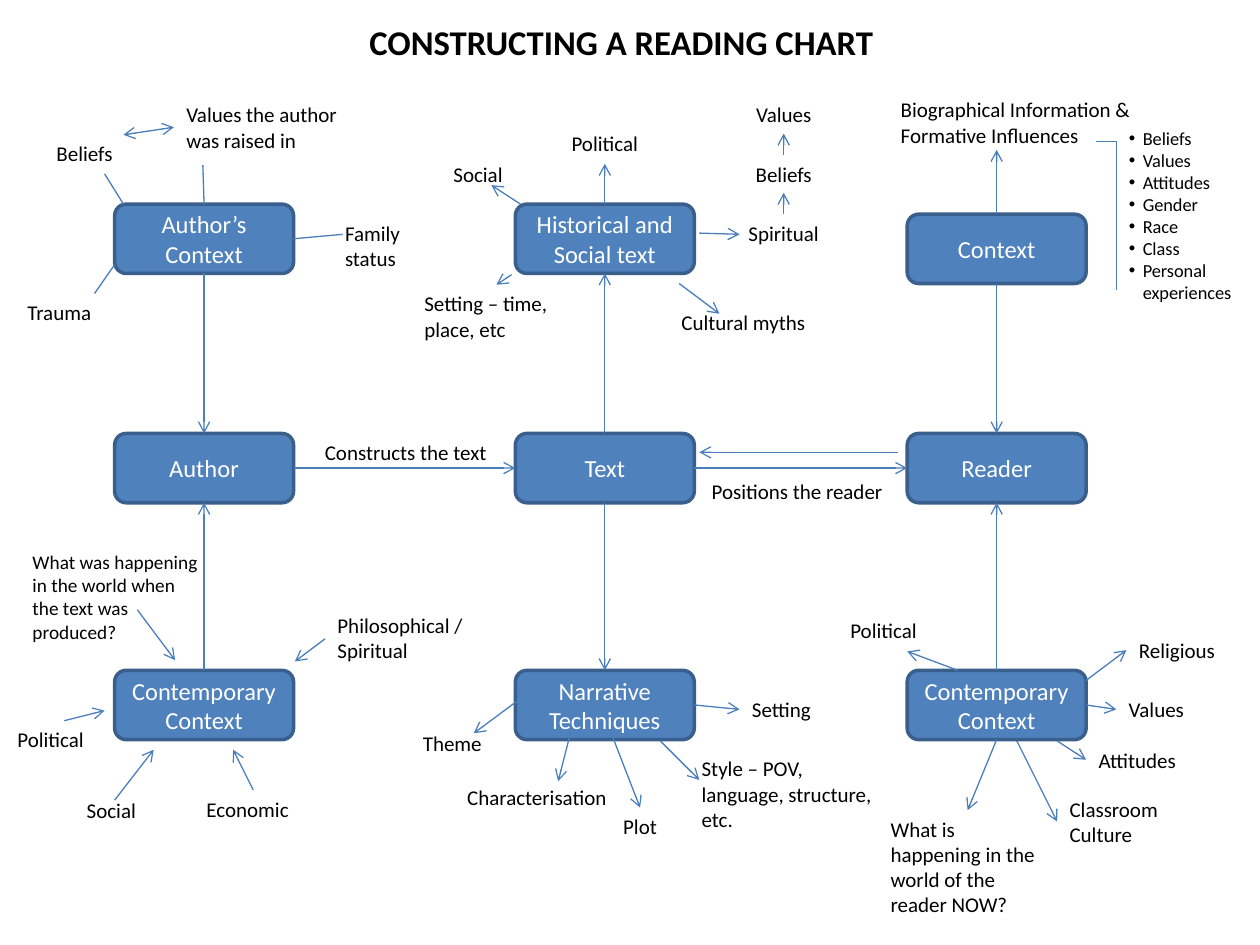
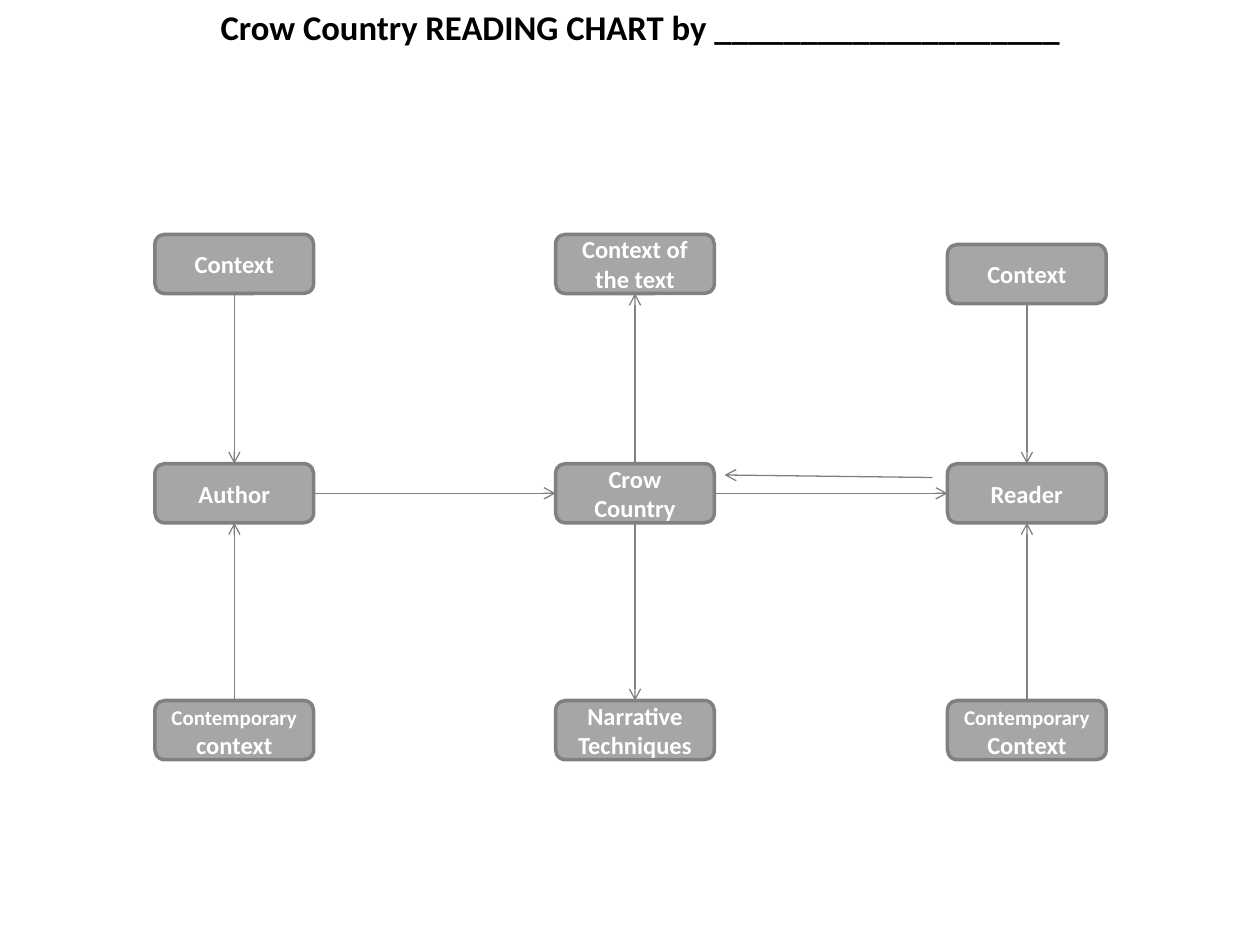
from pptx import Presentation
from pptx.dml.color import RGBColor
from pptx.enum.shapes import MSO_CONNECTOR, MSO_SHAPE
from pptx.enum.text import MSO_ANCHOR, MSO_AUTO_SIZE, PP_ALIGN
from pptx.oxml.ns import qn
from pptx.util import Pt
from lxml import etree

STRAIGHT, ELBOW = MSO_CONNECTOR.STRAIGHT, MSO_CONNECTOR.ELBOW
ROUNDED = MSO_SHAPE.ROUNDED_RECTANGLE
MIDDLE, TOP_ANCHOR = MSO_ANCHOR.MIDDLE, MSO_ANCHOR.TOP
LEFT_ALIGN, CENTER = PP_ALIGN.LEFT, PP_ALIGN.CENTER
NO_FIT, GROW = MSO_AUTO_SIZE.NONE, MSO_AUTO_SIZE.SHAPE_TO_FIT_TEXT
TOP, LEFT, BOTTOM, RIGHT = range(4)

# Shared look and grid; lengths in px, 100 px to the inch
PX = 9144
FONT = "Calibri"
BLACK, WHITE = "000000", "FFFFFF"
COLUMNS = (91, 409, 720)
ROWS = (162, 344, 532)
READER_CONTEXT_DROP = 8
LAYOUT_LIST, LAYOUT_TITLE = 1, 5

# Arrows between grid boxes: (column, row), side, (column, row), side
LINKS = [
    ((1, 1), TOP, (1, 0), BOTTOM), ((1, 1), BOTTOM, (1, 2), TOP),
    ((0, 1), RIGHT, (1, 1), LEFT), ((1, 1), RIGHT, (2, 1), LEFT),
    ((0, 0), BOTTOM, (0, 1), TOP), ((0, 2), TOP, (0, 1), BOTTOM),
    ((2, 0), BOTTOM, (2, 1), TOP), ((2, 2), TOP, (2, 1), BOTTOM),
]

# Both charts; in box text, "|" divides a 12 pt part from a 14 pt part
GUIDE = {
    "title": "CONSTRUCTING A READING CHART", "title_at": (43, 16),
    "layout": LAYOUT_LIST, "shift": (0, 0), "size": (142, 55), "bold": False,
    "fill": "4F81BD", "edge": "3A5F8C", "line": "4B7EBC",
    "boxes": [["Author’s Context", "Historical and Social text", "Context"],
              ["Author", "Text", "Reader"],
              ["Contemporary Context", "Narrative Techniques", "Contemporary Context"]],
    "reply": (713, 359, 555, 359),
}
WORKSHEET = {
    "title": "Crow Country READING CHART by ____________________", "title_at": (58, 4),
    "layout": LAYOUT_TITLE, "shift": (32, 24), "size": (126, 47), "bold": True,
    "fill": "A6A6A6", "edge": "808080", "line": "808080",
    "boxes": [["Context", "Context of the text", "Context"],
              ["Author", "Crow Country", "Reader"],
              ["Contemporary| context", "Narrative Techniques", "Contemporary| Context"]],
    "reply": (740, 379, 575, 377),
}

# Labels on the guide: text, left, top, width, lines
LABELS = [
    ("Constructs the text", 248, 344, 150, 1),
    ("Positions the reader", 555, 375, 165, 1),
    ("Beliefs", 35, 107, 94, 1),
    ("Values the author was raised in", 138, 76, 142, 2),
    ("Family status", 264, 170, 94, 2),
    ("Trauma", 12, 233, 94, 1),
    ("Political", 4, 572, 94, 1),
    ("Economic", 154, 627, 94, 1),
    ("Social", 59, 628, 94, 1),
    ("Philosophical / Spiritual", 258, 481, 126, 2),
    ("Social", 350, 123, 118, 1),
    ("Setting – time, place, etc", 327, 226, 134, 2),
    ("Cultural myths", 531, 241, 118, 1),
    ("Characterisation", 361, 618, 134, 1),
    ("Setting", 587, 548, 94, 1),
    ("Style – POV, language, structure, etc.", 547, 595, 165, 3),
    ("Biographical Information & Formative Influences", 705, 72, 268, 2),
    ("Political", 665, 485, 118, 1),
    ("Religious", 894, 501, 118, 1),
    ("Values", 886, 548, 118, 1),
    ("Attitudes", 862, 588, 118, 1),
    ("Classroom Culture", 839, 627, 118, 2),
    ("What is happening in the world of the reader NOW?", 697, 643, 142, 4),
]
CENTRED_LABELS = [
    ("Political", 421, 99, 118, 1),
    ("Values", 563, 76, 118, 1),
    ("Beliefs", 563, 123, 118, 1),
    ("Spiritual", 563, 170, 118, 1),
    ("Theme", 312, 575, 94, 1),
    ("Plot", 461, 641, 94, 1),
]
SMALL_LABELS = [
    ("What was happening in the world when the text was produced?", 16, 432, 156, 4),
]
INFLUENCES = ["Beliefs", "Values", "Attitudes", "Gender", "Race", "Class",
              "Personal experiences"]

# Lines on the guide
PLAIN_LINES = [(98, 162, 83, 138), (91, 210, 75, 233)]
ARROWS = [
    (484, 579, 508, 641), (454, 577, 443, 620), (411, 556, 376, 582),
    (524, 588, 555, 619), (760, 532, 720, 517), (862, 540, 894, 516),
    (839, 588, 862, 603), (807, 588, 839, 652), (51, 572, 83, 564),
    (91, 635, 122, 595), (201, 627, 185, 595), (258, 507, 234, 525),
    (109, 484, 139, 524), (413, 162, 390, 147), (555, 185, 587, 186),
    (622, 170, 622, 153), (622, 123, 622, 106), (539, 225, 571, 249),
    (406, 218, 394, 226),
]
DOUBLE_ARROW = (98, 107, 138, 101)
# From the middle of a box side: (column, row), side, end point, line ends
SIDE_LINES = [
    ((0, 0), TOP, (161, 131), ()),
    ((0, 0), RIGHT, (272, 186), ()),
    ((1, 0), TOP, (480, 130), ("tail",)),
    ((2, 0), TOP, (791, 119), ("tail",)),
    ((1, 2), RIGHT, (587, 563), ("tail",)),
    ((2, 2), RIGHT, (886, 563), ("tail",)),
    ((2, 2), BOTTOM, (768, 643), ("tail",)),
]


def px(*lengths):
    return [length * PX for length in lengths]


def color(value):
    return RGBColor.from_string(value)


def format_para(para, sizes, ink, bold=False, align=LEFT_ALIGN):
    para.alignment = align
    for span, size in zip(para.runs, sizes):
        span.font.name, span.font.size, span.font.bold = FONT, Pt(size), bold
        span.font.color.rgb = color(ink)


def set_frame(frame, anchor, fit):
    frame.word_wrap = True
    frame.auto_size = fit
    frame.vertical_anchor = anchor


def place(shape, left, top, width, height):
    shape.left, shape.top, shape.width, shape.height = px(left, top, width, height)


def add_line(page, ink, points, ends=("tail",), kind=STRAIGHT):
    line = page.shapes.add_connector(kind, *px(*points))
    line.line.color.rgb = color(ink)
    line.line.width = Pt(0.75)
    for end in ends:
        etree.SubElement(line.get_or_add_ln(), qn(f"a:{end}End"), type="arrow")
    etree.SubElement(line._element.spPr, qn("a:effectLst"))
    return line


def add_box(page, chart, column, row, text):
    left, top = COLUMNS[column] + chart["shift"][0], ROWS[row] + chart["shift"][1]
    if (column, row) == (2, 0):
        top += READER_CONTEXT_DROP
    box = page.shapes.add_shape(ROUNDED, *px(left, top, *chart["size"]))
    box.shadow.inherit = False
    box.fill.solid()
    box.fill.fore_color.rgb = color(chart["fill"])
    box.line.color.rgb = color(chart["edge"])
    box.line.width = Pt(2)
    set_frame(box.text_frame, MIDDLE, NO_FIT)
    para = box.text_frame.paragraphs[0]
    pieces = text.split("|")
    for piece in pieces:
        para.add_run().text = piece
    format_para(para, (12, 14)[-len(pieces):], WHITE, chart["bold"], CENTER)
    return box


def add_label(page, text, left, top, width, lines, size=12, align=LEFT_ALIGN):
    label = page.shapes.add_textbox(*px(left, top, width, 10 + 20 * lines))
    set_frame(label.text_frame, TOP_ANCHOR, GROW)
    label.text_frame.text = text
    format_para(label.text_frame.paragraphs[0], [size], BLACK, align=align)


def add_chart_page(deck, chart):
    """Title, nine boxes and the arrows that both slides share."""
    page = deck.slides.add_slide(deck.slide_layouts[chart["layout"]])
    title = page.shapes.title
    place(title, *chart["title_at"], 900, 34)
    set_frame(title.text_frame, MIDDLE, NO_FIT)
    title.text_frame.text = chart["title"]
    format_para(title.text_frame.paragraphs[0], [19.8], BLACK, True, CENTER)

    boxes = {(column, row): add_box(page, chart, column, row, text)
             for row, texts in enumerate(chart["boxes"])
             for column, text in enumerate(texts)}
    for start, start_side, finish, finish_side in LINKS:
        link = add_line(page, chart["line"], (0, 0, 0, 0))
        link.begin_connect(boxes[start], start_side)
        link.end_connect(boxes[finish], finish_side)
    add_line(page, chart["line"], chart["reply"])
    return page, boxes


def add_influences(page, ink):
    """Bulleted list with the bracket that ties it to its heading."""
    body = page.placeholders[1]
    place(body, 886, 96, 118, 151)
    set_frame(body.text_frame, TOP_ANCHOR, NO_FIT)
    body.text_frame.text = "\n".join(INFLUENCES)
    for para in body.text_frame.paragraphs:
        properties = para._p.get_or_add_pPr()
        properties.set("marL", str(11 * PX))
        properties.set("indent", str(-11 * PX))
        etree.SubElement(properties, qn("a:buFont"), typeface="Arial")
        etree.SubElement(properties, qn("a:buChar"), char="•")
        para.space_before = Pt(0)
        para.font.size = Pt(10.5)
        format_para(para, [10.5], BLACK)

    # A quarter turn makes the elbow run right, then down
    bracket = add_line(page, ink, (937, 163, 819, 179), (), ELBOW)
    properties = bracket._element.spPr
    properties.find(qn("a:xfrm")).set("rot", "16200000")
    adjustments = properties.find(qn("a:prstGeom")).find(qn("a:avLst"))
    etree.SubElement(adjustments, qn("a:gd"), name="adj1", fmla="val 100")


def annotate_guide(page, boxes, ink):
    for label in LABELS:
        add_label(page, *label)
    for label in CENTRED_LABELS:
        add_label(page, *label, align=CENTER)
    for label in SMALL_LABELS:
        add_label(page, *label, size=11)
    for points in PLAIN_LINES:
        add_line(page, ink, points, ())
    for points in ARROWS:
        add_line(page, ink, points)
    add_line(page, ink, DOUBLE_ARROW, ("head", "tail"))
    for key, side, point, ends in SIDE_LINES:
        add_line(page, ink, point + point, ends).begin_connect(boxes[key], side)
    add_influences(page, ink)


def main():
    deck = Presentation()
    deck.slide_width, deck.slide_height = px(1000, 750)
    page, boxes = add_chart_page(deck, GUIDE)
    annotate_guide(page, boxes, GUIDE["line"])
    add_chart_page(deck, WORKSHEET)
    deck.save("out.pptx")


if __name__ == "__main__":
    main()
